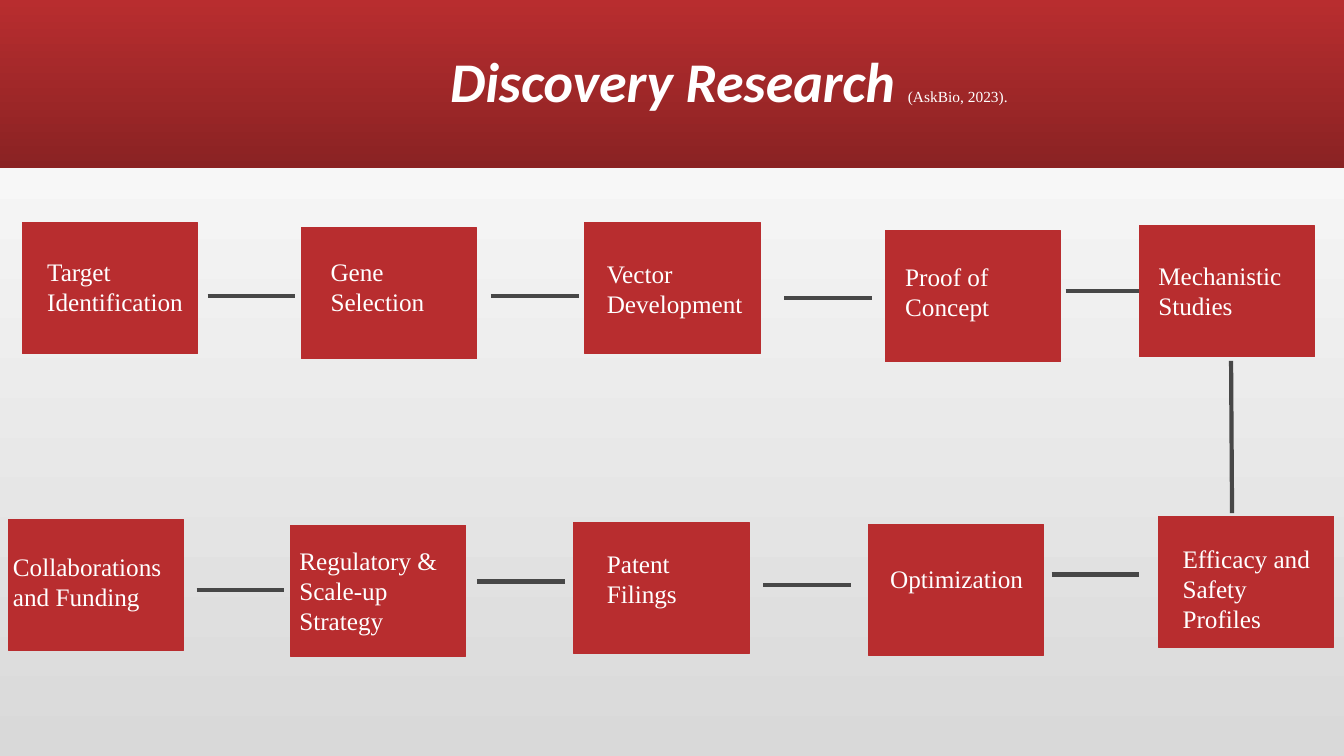
from lxml import etree
from pptx import Presentation
from pptx.dml.color import RGBColor
from pptx.enum.shapes import MSO_CONNECTOR, MSO_SHAPE
from pptx.enum.text import MSO_ANCHOR, MSO_AUTO_SIZE, PP_ALIGN
from pptx.oxml.ns import qn
from pptx.util import Inches, Pt

RECTANGLE = MSO_SHAPE.RECTANGLE
STRAIGHT = MSO_CONNECTOR.STRAIGHT
MIDDLE = MSO_ANCHOR.MIDDLE
CENTER = PP_ALIGN.CENTER
NO_AUTOFIT = MSO_AUTO_SIZE.NONE
GROW = MSO_AUTO_SIZE.SHAPE_TO_FIT_TEXT
LEFT_SIDE = 1

COLORS = {
    "red": "B82D2F",
    "dark_red": "8A2223",
    "line": "474747",
    "white": "FFFFFF",
    "gray": "D9D9D9",
}
TITLE_FORMAT = {"name": "Calibri", "size": Pt(40), "bold": True, "italic": True}
CITATION_FORMAT = {"name": "Times New Roman", "size": Pt(11), "bold": False, "italic": False}
LABEL_FORMAT = {"name": "Times New Roman", "size": Pt(18)}

SLIDE_WIDTH, SLIDE_HEIGHT = 13.33, 7.5
STEP_WIDTH, STEP_HEIGHT = 1.74, 1.3
LINK_LENGTH = 0.87

# Label, step left and top, label left, top, width and height
STEPS = [
    ("Target Identification", 0.22, 2.21, 0.37, 2.49, 1.74, 0.71),
    ("Gene Selection", 2.99, 2.26, 3.18, 2.49, 1.31, 0.71),
    ("Vector Development", 5.8, 2.21, 5.92, 2.51, 1.62, 0.71),
    ("Proof of Concept", 8.78, 2.29, 8.88, 2.54, 1.56, 0.71),
    ("Mechanistic Studies", 11.3, 2.24, 11.39, 2.53, 1.65, 0.71),
    ("Efficacy and Safety Profiles", 11.49, 5.12, 11.63, 5.34, 1.48, 1.01),
    ("Optimization", 8.61, 5.2, 8.73, 5.54, 1.65, 0.4),
    ("Patent Filings", 5.69, 5.18, 5.92, 5.39, 1.51, 0.71),
    ("Regulatory & Scale-up Strategy", 2.88, 5.21, 2.87, 5.36, 1.81, 1.01),
    ("Collaborations and Funding", 0.08, 5.15, 0.03, 5.42, 1.81, 0.71),
]
# Left end and height of the level links of equal length
LEVEL_LINKS = [
    (2.06, 2.94), (4.87, 2.94), (7.78, 2.96),
    (10.43, 5.7), (7.57, 5.8), (4.73, 5.77), (1.95, 5.85),
]


def color(name):
    return RGBColor.from_string(COLORS[name])


class FlowSlide:
    def __init__(self, presentation):
        self.slide = presentation.slides.add_slide(presentation.slide_layouts[5])
        self.shapes = self.slide.shapes

    def gradient(self, fill, first, last, angle):
        """Fill from first to last; the angle runs counter-clockwise."""
        fill.gradient()
        fill.gradient_angle = angle
        for stop, name, position in zip(fill.gradient_stops, (first, last), (0, 1)):
            stop.color.rgb = color(name)
            stop.position = position

    def run(self, paragraph, text, font_format):
        run = paragraph.add_run()
        run.text = text
        for name, value in font_format.items():
            setattr(run.font, name, value)
        run.font.color.rgb = color("white")

    def rectangle(self, left, top, width, height):
        shape = self.shapes.add_shape(
            RECTANGLE, Inches(left), Inches(top), Inches(width), Inches(height))
        shape.shadow.inherit = False
        return shape

    def header(self):
        band = self.rectangle(0, 0, SLIDE_WIDTH, 1.67)
        self.gradient(band.fill, "red", "dark_red", 270)
        band.line.fill.background()
        self.shapes.title.element.addprevious(band.element)

    def title(self, text, citation):
        title = self.shapes.title
        placement = {"left": 1.34, "top": 0.11, "width": 11.78, "height": 1.45}
        for name, value in placement.items():
            setattr(title, name, Inches(value))
        frame = title.text_frame
        frame.auto_size = NO_AUTOFIT
        frame.vertical_anchor = MIDDLE
        paragraph = frame.paragraphs[0]
        paragraph.alignment = CENTER
        paragraph.line_spacing = 0.9
        self.run(paragraph, text, TITLE_FORMAT)
        self.run(paragraph, citation, CITATION_FORMAT)

    def step(self, left, top):
        shape = self.rectangle(left, top, STEP_WIDTH, STEP_HEIGHT)
        shape.fill.solid()
        shape.fill.fore_color.rgb = color("red")
        shape.line.color.rgb = color("red")
        shape.line.width = Pt(0.75)
        return shape

    def label(self, text, left, top, width, height):
        box = self.shapes.add_textbox(
            Inches(left), Inches(top), Inches(width), Inches(height))
        box.text_frame.word_wrap = True
        box.text_frame.auto_size = GROW
        self.run(box.text_frame.paragraphs[0], text, LABEL_FORMAT)

    def link(self, start_x, start_y, end_x, end_y):
        connector = self.shapes.add_connector(
            STRAIGHT, Inches(start_x), Inches(start_y), Inches(end_x), Inches(end_y))
        connector.line.color.rgb = color("line")
        connector.line.width = Pt(3)
        etree.SubElement(connector.element.spPr, qn("a:effectLst"))
        return connector


def main():
    presentation = Presentation()
    presentation.slide_width = Inches(SLIDE_WIDTH)
    presentation.slide_height = Inches(SLIDE_HEIGHT)

    flow = FlowSlide(presentation)
    flow.gradient(flow.slide.background.fill, "gray", "white", 90)
    flow.header()
    flow.title("Discovery Research ", "(AskBio, 2023).")

    for left, height in LEVEL_LINKS:
        flow.link(left, height, left + LINK_LENGTH, height)
    flow.link(12.21, 3.58, 12.22, 5.09)
    mechanistic_link = flow.link(10.57, 2.89, 11.3, 2.89)

    for text, left, top, *label_place in STEPS:
        step = flow.step(left, top)
        flow.label(text, *label_place)
        if text == "Mechanistic Studies":
            mechanistic_link.end_connect(step, LEFT_SIDE)

    presentation.save("out.pptx")


if __name__ == "__main__":
    main()
